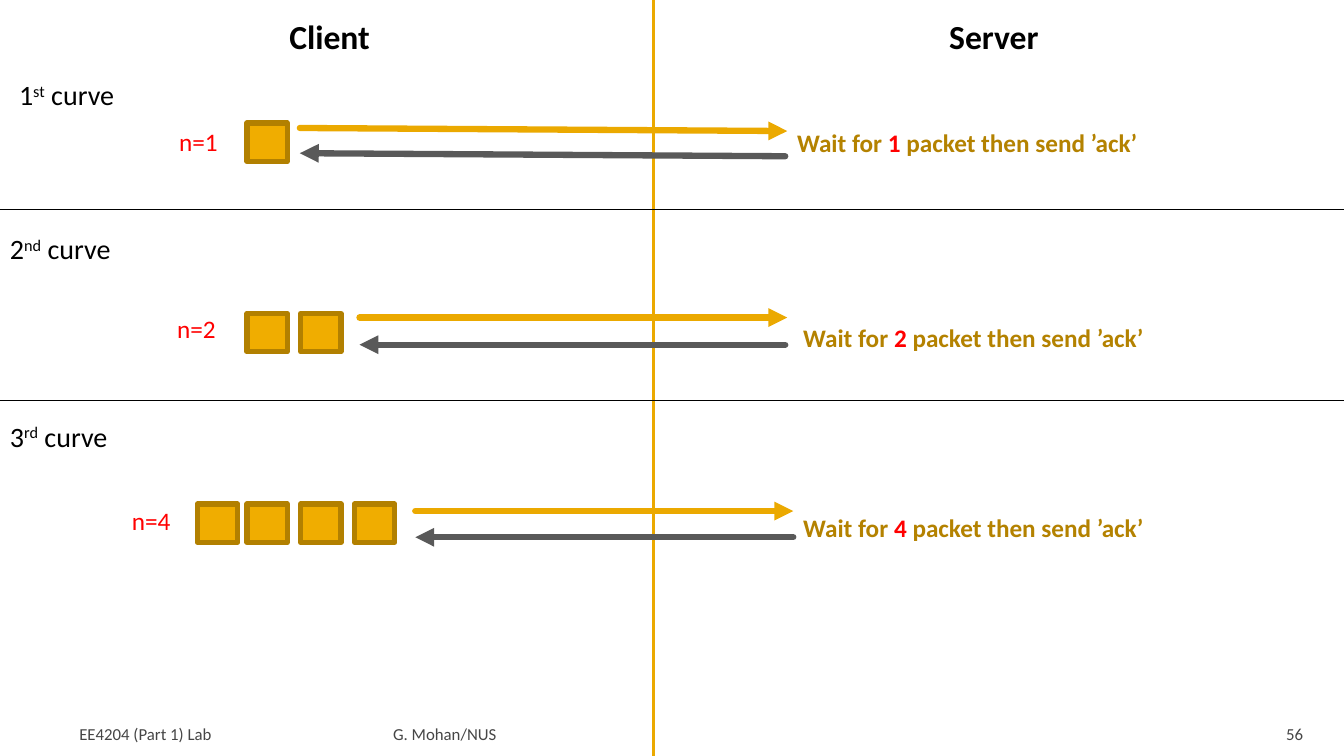
from lxml.etree import SubElement
from pptx import Presentation
from pptx.dml.color import RGBColor
from pptx.enum.shapes import MSO_CONNECTOR, MSO_SHAPE
from pptx.enum.text import MSO_ANCHOR as Anchor, PP_ALIGN as Align
from pptx.oxml.ns import qn
from pptx.util import Inches, Pt

COLOURS = {
    "black": "000000", "footer": "454545", "count": "FF0000", "wait": "B48200",
    "packet": "F0AD00", "packet edge": "B28000", "send": "EBA900", "ack": "595959",
}
COLUMNS, ROWS = 160, 90
BAND = 22.68  # rows from one curve to the next


class Page:
    """Slide laid out on a grid of COLUMNS by ROWS."""

    font = "Calibri"

    def __init__(self, deck):
        self.column = deck.slide_width / COLUMNS
        self.row = deck.slide_height / ROWS
        self.slide = deck.slides.add_slide(deck.slide_layouts.get_by_name("Comparison"))
        self.shapes = self.slide.shapes

    def cells(self, *lengths):
        """Turn alternating columns and rows into slide lengths."""
        units = (self.column, self.row)
        return [round(length * units[i % 2]) for i, length in enumerate(lengths)]

    def colour(self, name):
        return RGBColor.from_string(COLOURS[name])

    def fill_text(self, box, spans, size, colour, bold=False, align=Align.LEFT):
        """Fill a box with one paragraph of (text, colour, baseline) spans."""
        box.text_frame.word_wrap = True
        para = box.text_frame.paragraphs[0]
        para.alignment = align
        para.space_before = Pt(0)
        para.font.name, para.font.size, para.font.bold = self.font, Pt(size), bold
        para.font.color.rgb = self.colour(colour)
        for text, span_colour, baseline in spans:
            span = para.add_run()
            span.text = text
            if span_colour:
                span.font.color.rgb = self.colour(span_colour)
            if baseline:
                span.font._element.set("baseline", str(baseline * 1000))

    def text(self, place, spans, size, colour, **style):
        box = self.shapes.add_textbox(*self.cells(*place))
        self.fill_text(box, spans, size, colour, **style)
        return box.text_frame

    def heading(self, index, place, text):
        box = self.slide.placeholders[index]
        box.left, box.top, box.width, box.height = self.cells(*place)
        box.text_frame.vertical_anchor = Anchor.TOP
        self.fill_text(box, [(text, None, 0)], 24, "black", bold=True, align=Align.CENTER)

    def footer(self, left, width, text, inset, align=Align.LEFT):
        frame = self.text((left, 85, width, 3.6), [(text, None, 0)], 12, "footer", align=align)
        frame.vertical_anchor = Anchor.BOTTOM
        frame.margin_left, frame.margin_bottom = Inches(inset), 0

    def packet(self, left, top):
        square = self.shapes.add_shape(MSO_SHAPE.RECTANGLE, *self.cells(left, top, 4.8, 4.56))
        square.shadow.inherit = False
        square.fill.solid()
        square.fill.fore_color.rgb = self.colour("packet")
        square.line.color.rgb = self.colour("packet edge")
        square.line.width = Pt(3.78)

    def line(self, ends, colour, width, arrow=None):
        """Draw a line; arrow names the end that gets a triangle."""
        line = self.shapes.add_connector(MSO_CONNECTOR.STRAIGHT, *self.cells(*ends))
        line.line.color.rgb = self.colour(colour)
        line.line.width = Pt(width)
        properties = line._element.spPr
        if arrow:
            outline = properties.find(qn("a:ln"))
            outline.set("cap", "rnd")
            SubElement(outline, qn(f"a:{arrow}")).set("type", "triangle")
        SubElement(properties, qn("a:effectLst"))

    def drop_empty_placeholders(self):
        for box in list(self.slide.placeholders):
            if not box.text_frame.text:
                box._element.getparent().remove(box._element)


# ordinal, its place, n, its place, reply place,
# arrow start column, (send rows), (ack rows), arrow end columns
CURVES = [
    (("1", "st"), (1.08, 8.64), 1, (20.16, 14.4), (93.72, 14.52),
     35.7, (15.24, 15.6), (18.24, 18.6), (93.72, 93.48)),
    (("2", "nd"), (0, 27), 2, (19.92, 36.72), (94.44, 37.8),
     42.8, (37.8, 37.8), (41.04, 41.04), (93.72, 93.48)),
    (("3", "rd"), (0, 49.32), 4, (14.52, 59.52), (94.44, 60.36),
     49.44, (60.84, 60.84), (63.96, 63.96), (94.44, 94.44)),
]
PACKET_COLUMNS = [29.4, 35.8, 42.2, 23.5]


def main():
    deck = Presentation()
    deck.slide_width, deck.slide_height = Inches(13.33), Inches(7.5)
    page = Page(deck)

    page.footer(8, 37.3, "EE4204 (Part 1) Lab", 0.12)
    page.footer(46.2, 96.4, "G. Mohan/NUS", 0.05)
    page.footer(143.5, 12.8, "56", 0.1, Align.RIGHT)

    page.line((77.8, 0, 77.8, ROWS), "send", 2.25)
    page.heading(1, (26.64, 1.32, 25.2, 6), "Client")
    page.heading(3, (105.72, 1.32, 25.2, 6), "Server")
    for band in range(2):
        row = 24.96 + band * BAND
        page.line((0, row, COLUMNS, row), "black", 0.5)

    for band, curve in enumerate(CURVES):
        (number, suffix), label, count, count_at, reply, start, send, ack, ends = curve
        page.text((*label, 25.2, 5.28),
                  [(number, None, 0), (suffix, None, 30), (" curve", None, 0)], 20, "black")
        page.text((*count_at, 10.2, 4.8), [(f"n={count}", None, 0)], 18, "count")
        page.text((*reply, 46.92, 4.8),
                  [("Wait for ", None, 0), (str(count), "count", 0),
                   (" packet then send ’ack’", None, 0)], 18, "wait", bold=True)
        for left in PACKET_COLUMNS[:count]:
            page.packet(left, 14.64 + band * BAND)
        page.line((start, send[0], ends[0], send[1]), "send", 4.5, "tailEnd")
        page.line((start, ack[0], ends[1], ack[1]), "ack", 4.5, "headEnd")

    page.drop_empty_placeholders()
    deck.save("out.pptx")


if __name__ == "__main__":
    main()
